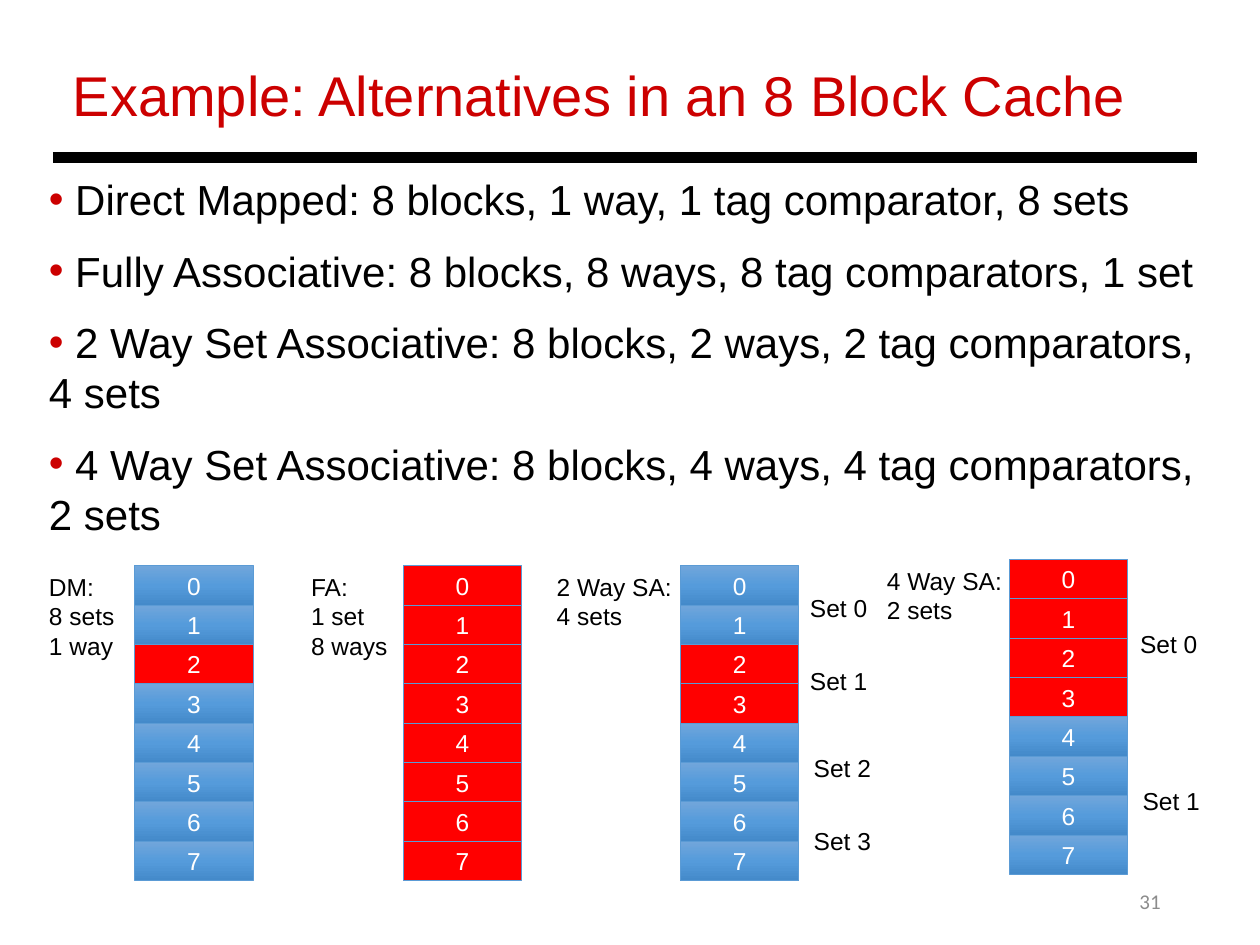
import copy

import pptx
import pptx.dml.color
import pptx.enum.shapes
import pptx.enum.text
import pptx.oxml
import pptx.oxml.ns
import pptx.util
from pptx.util import Inches

COLORS = {
    "title": "CC0000",
    "text": "000000",
    "number": "8C8C8C",
    "block text": "FFFFFF",
    "block line": "5B9BD5",
    "candidate": "FF0000",
    "block top": "71A6DB",
    "block middle": "559BDB",
    "block bottom": "448ACA",
}
BLOCKS = 8
BLOCK_WIDTH = 0.94
BLOCK_HEIGHT = 2.5 / BLOCKS

ORGANIZATIONS = [
    "Direct Mapped: 8 blocks, 1 way, 1 tag comparator, 8 sets",
    "Fully Associative: 8 blocks, 8 ways, 8 tag comparators, 1 set",
    "2 Way Set Associative: 8 blocks, 2 ways, 2 tag comparators, 4 sets",
    "4 Way Set Associative: 8 blocks, 4 ways, 4 tag comparators, 2 sets",
]

# left and top of the blocks, candidate blocks, caption with its left and width,
# set labels with their left and top
CACHES = [
    (1.07, 4.49, [2], "DM:\n8 sets\n1 way", 0.29, 0.72, []),
    (3.2, 4.49, range(BLOCKS), "FA:\n1 set\n8 ways", 2.37, 0.81, []),
    (5.4, 4.49, [2, 3], "2 Way SA: \v4 sets", 4.32, 1.18,
     [("Set 0", 6.33, 4.66), ("Set 1", 6.33, 5.24),
      ("Set 2", 6.36, 5.93), ("Set 3", 6.36, 6.51)]),
    (8.01, 4.44, range(4), "4 Way SA: \v2 sets", 6.94, 1.18,
     [("Set 0", 8.95, 4.94), ("Set 1", 8.97, 6.19)]),
]


def rgb(name):
    return pptx.dml.color.RGBColor.from_string(COLORS[name])


class CacheSlide:
    font = "Arial"
    label_size = 14

    def __init__(self, slide):
        self.slide = slide

    def format_text(self, frame, size, color, align=None, font=None):
        for paragraph in frame.paragraphs:
            paragraph.alignment = align
            for run in paragraph.runs:
                run.font.size = pptx.util.Pt(size)
                run.font.name = font or self.font
                run.font.color.rgb = rgb(color)

    def text(self, words, left, top, width, height, size=label_size, color="text",
             wrap=True, align=None, font=None, parent=None):
        shapes = (parent or self.slide).shapes
        frame = shapes.add_textbox(
            Inches(left), Inches(top), Inches(width), Inches(height)).text_frame
        frame.text = words
        frame.word_wrap = wrap
        self.format_text(frame, size, color, align, font)
        return frame

    def bullets(self, items, left, top, width, height, size):
        frame = self.text("\n".join(" " + item for item in items),
                          left, top, width, height, size)
        for paragraph in frame.paragraphs:
            paragraph.space_after = pptx.util.Pt(12)
            properties = paragraph._p.get_or_add_pPr()
            properties.set("marL", "0")
            properties.set("indent", "0")
            namespace = pptx.oxml.ns.nsdecls("a")
            for xml in (
                f'<a:buClr {namespace}><a:srgbClr val="{COLORS["title"]}"/></a:buClr>',
                f'<a:buFont {namespace} typeface="Arial"/>',
                f'<a:buChar {namespace} char="•"/>',
            ):
                properties.append(pptx.oxml.parse_xml(xml))

    def rule(self, left, right, y, weight):
        line = self.slide.shapes.add_connector(
            pptx.enum.shapes.MSO_CONNECTOR.STRAIGHT,
            Inches(left), Inches(y), Inches(right), Inches(y))
        line.line.color.rgb = rgb("text")
        line.line.width = pptx.util.Pt(weight)
        line._element.spPr.append(pptx.oxml.parse_xml(
            f'<a:effectLst {pptx.oxml.ns.nsdecls("a")}/>'))

    def shade(self, fill):
        """Fill with the three-stop gradient, running from top to bottom."""
        fill.gradient()
        fill.gradient_angle = 270
        first = fill.gradient_stops[0]._gs
        first.addnext(copy.deepcopy(first))
        for stop, position, part in zip(
                fill.gradient_stops, (0, 0.5, 1), ("top", "middle", "bottom")):
            stop.position = position
            stop.color.rgb = rgb(f"block {part}")

    def block(self, group, number, left, top, candidate):
        block = group.shapes.add_shape(
            pptx.enum.shapes.MSO_SHAPE.RECTANGLE, Inches(left), Inches(top),
            Inches(BLOCK_WIDTH), Inches(BLOCK_HEIGHT))
        block.shadow.inherit = False
        if candidate:
            block.fill.solid()
            block.fill.fore_color.rgb = rgb("candidate")
        else:
            self.shade(block.fill)
        block.line.color.rgb = rgb("block line")
        block.line.width = pptx.util.Pt(0.5)
        block.text_frame.text = str(number)
        block.text_frame.vertical_anchor = pptx.enum.text.MSO_ANCHOR.MIDDLE
        self.format_text(block.text_frame, self.label_size, "block text",
                         pptx.enum.text.PP_ALIGN.CENTER)

    def cache(self, left, top, candidates, caption, caption_left, caption_width, sets):
        group = self.slide.shapes.add_group_shape()
        for number in range(BLOCKS):
            self.block(group, number, left, top + number * BLOCK_HEIGHT,
                       number in candidates)
        caption_height = 0.81 if "\n" in caption else 0.57
        self.text(caption, caption_left, top, caption_width, caption_height,
                  wrap=False, parent=group)
        for name, set_left, set_top in sets:
            self.text(name, set_left, set_top, 0.66, 0.34, wrap=False, parent=group)


def main():
    deck = pptx.Presentation()
    deck.slide_width, deck.slide_height = Inches(10), Inches(7.5)
    page = CacheSlide(deck.slides.add_slide(deck.slide_layouts[6]))

    number = page.text("31", 7.06, 6.95, 2.25, 0.4, 12, "number",
                       align=pptx.enum.text.PP_ALIGN.RIGHT, font="Calibri")
    number.vertical_anchor = pptx.enum.text.MSO_ANCHOR.MIDDLE
    page.text("Example: Alternatives in an 8 Block Cache",
              0.48, 0.43, 8.8, 0.64, 32, "title")
    page.rule(0.42, 9.5, 1.25, 6)
    page.bullets(ORGANIZATIONS, 0.29, 1.33, 9.4, 3.03, 24)
    for cache in CACHES:
        page.cache(*cache)

    deck.save("out.pptx")


if __name__ == "__main__":
    main()
